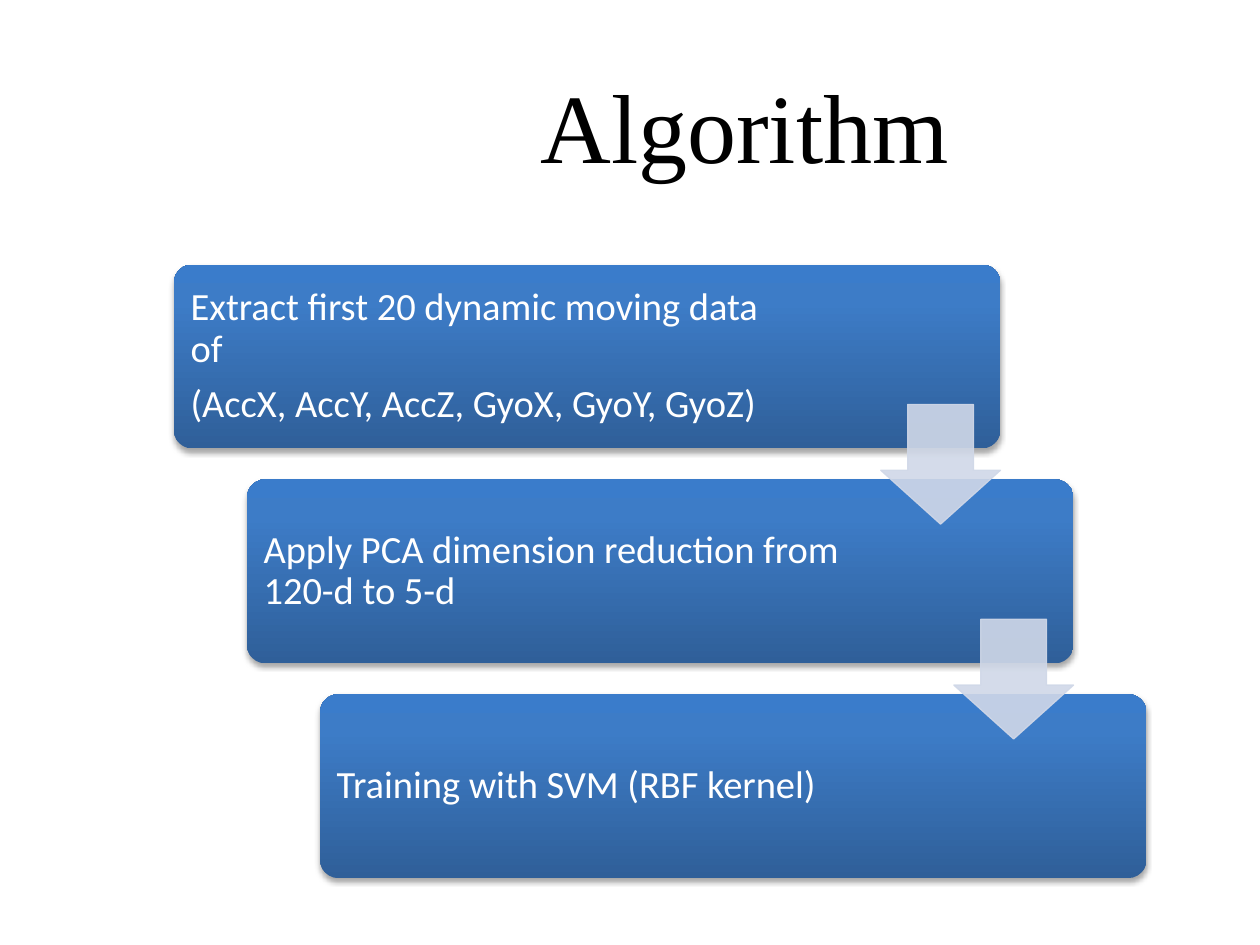
from copy import deepcopy
from dataclasses import dataclass

from lxml.etree import SubElement
from pptx import Presentation
from pptx.dml.color import RGBColor
from pptx.enum.shapes import MSO_SHAPE as Shape
from pptx.enum.text import MSO_ANCHOR as Anchor, PP_ALIGN as Align
from pptx.oxml.ns import qn
from pptx.util import Inches, Pt

# Staircase grid, in inches: each step moves right and down
FIRST_LEFT, FIRST_TOP = 1.38, 2.1
STEP_RIGHT, STEP_DOWN = 0.58, 1.705
BOX_WIDTH, BOX_HEIGHT = 6.56, 1.46
ARROW_SIZE, ARROW_DROP = 0.95, 1.11

GRADIENT = ((0, "2F5F99"), (0.8, "3D7CC7"), (1, "3A7CCB"))
ARROW_COLOUR = "D0D8E8"


@dataclass
class Step:
    index: int
    lines: tuple[str, ...]

    @property
    def left(self) -> float:
        return FIRST_LEFT + self.index * STEP_RIGHT

    @property
    def top(self) -> float:
        return FIRST_TOP + self.index * STEP_DOWN


STEPS = (
    Step(0, ("Extract first 20 dynamic moving data of",
             "(AccX, AccY, AccZ, GyoX, GyoY, GyoZ)")),
    Step(1, ("Apply PCA dimension reduction from 120-d to 5-d",)),
    Step(2, ("Training with SVM (RBF kernel)",)),
)


def colour(value: str) -> RGBColor:
    return RGBColor.from_string(value)


def add_alpha(fill_parent, percent: int) -> None:
    """Make the solid colour inside an XML element partly transparent."""
    rgb = fill_parent.find(f"{qn('a:solidFill')}/{qn('a:srgbClr')}")
    SubElement(rgb, qn("a:alpha"), val=str(percent * 1000))


def add_run(para, text: str, font: str, size: float, value: str) -> None:
    span = para.add_run()
    span.text = text
    span.font.name, span.font.size = font, Pt(size)
    span.font.color.rgb = colour(value)


def fill_gradient(box) -> None:
    box.fill.gradient()
    box.fill.gradient_angle = 90
    stops = box.element.spPr.find(f".//{qn('a:gsLst')}")
    stops.append(deepcopy(stops[-1]))
    for stop, (position, value) in zip(box.fill.gradient_stops, GRADIENT):
        stop.position, stop.color.rgb = position, colour(value)


def add_soft_shadow(box) -> None:
    box.shadow.inherit = False
    effects = box.element.spPr.find(qn("a:effectLst"))
    shadow = SubElement(effects, qn("a:outerShdw"), blurRad=str(Pt(3.1)),
                        dist=str(Pt(1.8)), dir="5400000", rotWithShape="0")
    rgb = SubElement(shadow, qn("a:srgbClr"), val="000000")
    SubElement(rgb, qn("a:alpha"), val="35000")


def draw_title(page, text: str) -> None:
    box = page.shapes.add_textbox(Inches(0.91), Inches(0.36), Inches(9), Inches(1.25))
    frame = box.text_frame
    frame.word_wrap = True
    frame.vertical_anchor = Anchor.MIDDLE
    frame.margin_left = Inches(1.1)  # sets the word right of centre
    para = frame.paragraphs[0]
    para.alignment = Align.CENTER
    add_run(para, text, "Times New Roman", 56, "000000")


def draw_step(page, step: Step) -> None:
    box = page.shapes.add_shape(Shape.ROUNDED_RECTANGLE, Inches(step.left), Inches(step.top),
                                Inches(BOX_WIDTH), Inches(BOX_HEIGHT))
    box.adjustments[0] = 0.1
    fill_gradient(box)
    box.line.fill.background()
    add_soft_shadow(box)

    # The right margin keeps the text clear of the arrow
    frame = box.text_frame
    frame.word_wrap = True
    frame.vertical_anchor = Anchor.MIDDLE
    frame.margin_left, frame.margin_right = Inches(0.09), Inches(1.62)
    for number, line in enumerate(step.lines):
        para = frame.paragraphs[0] if number == 0 else frame.add_paragraph()
        para.alignment = Align.LEFT
        para.line_spacing, para.space_after = 0.9, Pt(7.7)
        add_run(para, line, "Calibri", 22, "FFFFFF")


def draw_arrow(page, step: Step) -> None:
    """Arrow at the lower right corner of a step, leading to the next."""
    arrow = page.shapes.add_shape(Shape.DOWN_ARROW,
                                  Inches(step.left + BOX_WIDTH - ARROW_SIZE),
                                  Inches(step.top + ARROW_DROP),
                                  Inches(ARROW_SIZE), Inches(ARROW_SIZE))
    arrow.adjustments[0], arrow.adjustments[1] = 0.55, 0.45
    arrow.shadow.inherit = False
    arrow.fill.solid()
    arrow.fill.fore_color.rgb = colour(ARROW_COLOUR)
    arrow.line.color.rgb = colour(ARROW_COLOUR)
    arrow.line.width = Pt(0.75)
    properties = arrow.element.spPr
    for part in (properties, properties.find(qn("a:ln"))):
        add_alpha(part, 90)


def main() -> None:
    deck = Presentation()
    deck.slide_width, deck.slide_height = Inches(10), Inches(7.5)
    page = deck.slides.add_slide(deck.slide_layouts[6])

    draw_title(page, "Algorithm")
    for step in STEPS:
        draw_step(page, step)
    # Arrows lie over the boxes
    for step in STEPS[:-1]:
        draw_arrow(page, step)
    deck.save("out.pptx")


if __name__ == "__main__":
    main()
